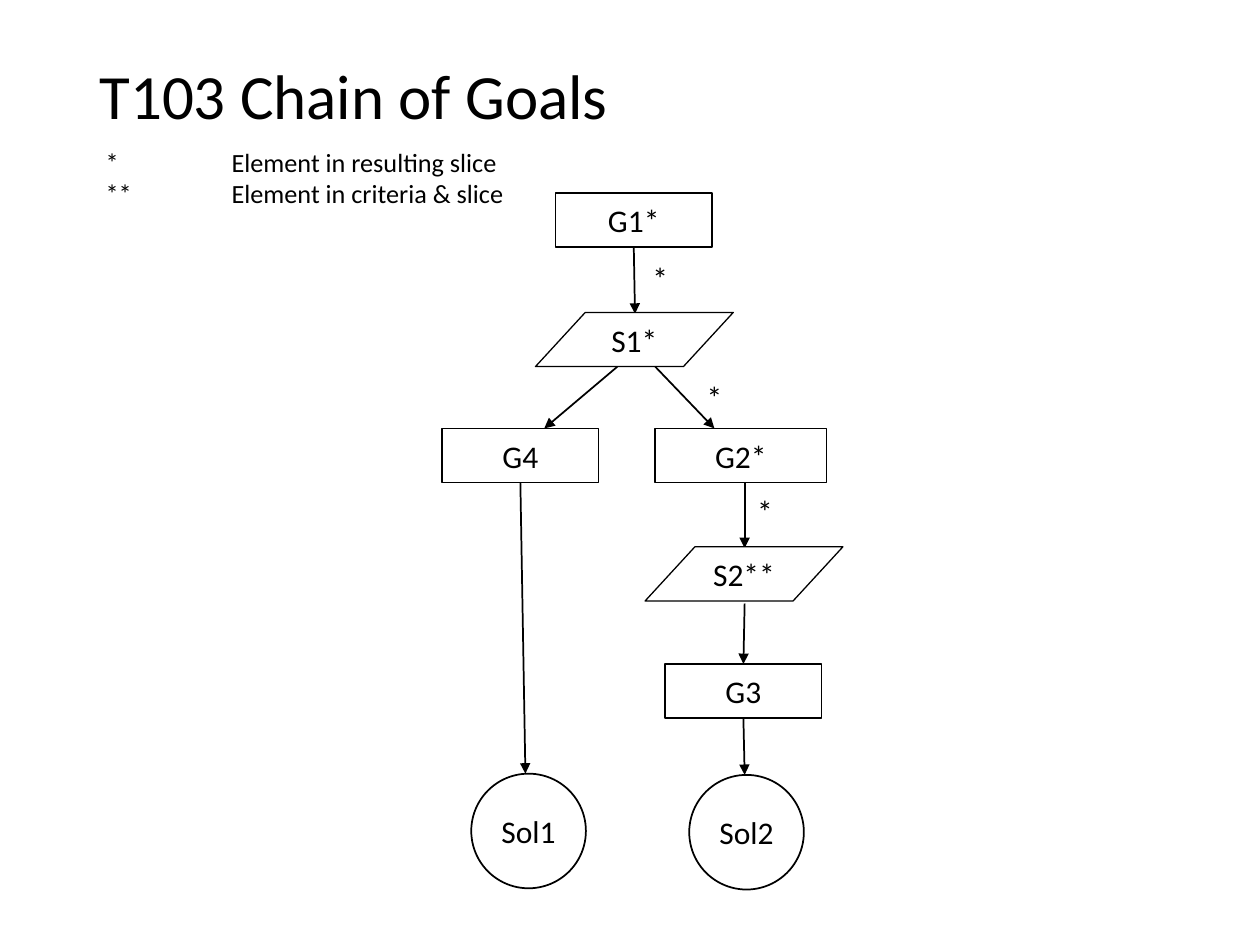
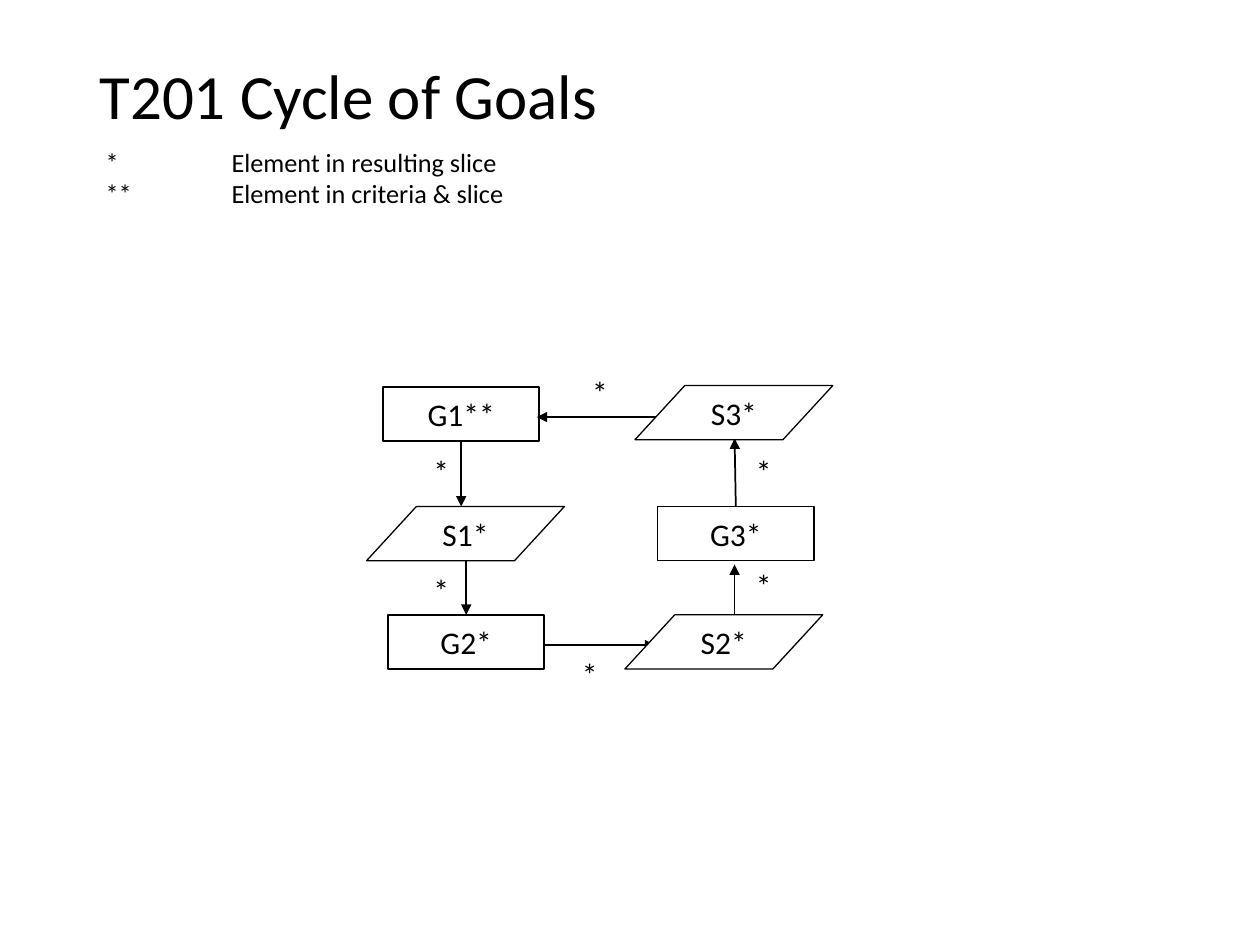
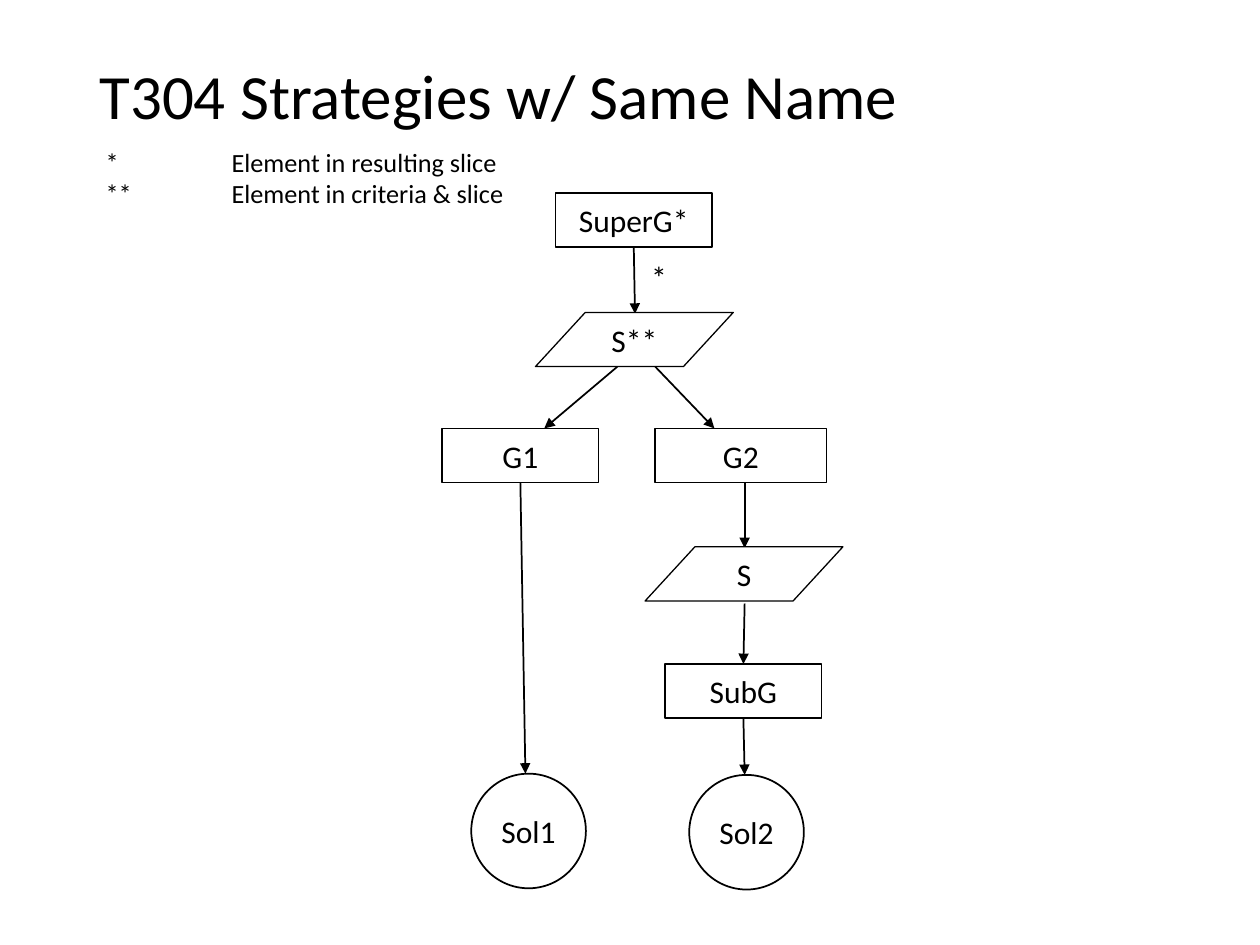
"""Build three goal-structure slicing slides that share a title style and a legend."""
from lxml import etree
from pptx import Presentation
from pptx.dml.color import RGBColor
from pptx.enum.shapes import MSO_CONNECTOR, MSO_SHAPE
from pptx.enum.text import MSO_ANCHOR, PP_ALIGN
from pptx.oxml.ns import qn
from pptx.util import Inches, Pt

GOAL = MSO_SHAPE.RECTANGLE
STRATEGY = MSO_SHAPE.PARALLELOGRAM
SOLUTION = MSO_SHAPE.OVAL
STRAIGHT = MSO_CONNECTOR.STRAIGHT
LEFT, CENTER = PP_ALIGN.LEFT, PP_ALIGN.CENTER
MIDDLE = MSO_ANCHOR.MIDDLE
TOP_SIDE, BOTTOM_SIDE = 0, 2

FONT, BLACK, WHITE = "Calibri", "000000", "FFFFFF"
SIZES = {GOAL: (1.24, 0.43), STRATEGY: (1.57, 0.43), SOLUTION: (0.91, 0.91)}
OUTLINES = {GOAL: 0.94, STRATEGY: 0.75, SOLUTION: 1}
SLANT = 0.92
WIDE_GOAL = 1.36

TREE_NODES = {
    "root": (GOAL, 4.41, 1.53),
    "split": (STRATEGY, 4.25, 2.48),
    "left goal": (GOAL, 3.51, 3.4),
    "right goal": (GOAL, 5.2, 3.4, WIDE_GOAL),
    "left solution": (SOLUTION, 3.74, 6.14),
    "lower strategy": (STRATEGY, 5.12, 4.34),
    "lower goal": (GOAL, 5.28, 5.27),
    "right solution": (SOLUTION, 5.47, 6.15),
}
TREE_ARROWS = [
    (5.04, 1.97, 5.04, 2.49, "root", None),
    (4.9, 2.91, 4.32, 3.4, None, None),
    (5.2, 2.91, 5.67, 3.4, None, None),
    (4.14, 3.83, 4.17, 6.14, "left goal", None),
    (5.91, 3.83, 5.91, 4.35, None, None),
    (5.91, 4.79, 5.91, 5.27, None, "lower goal"),
    (5.91, 5.7, 5.91, 6.15, "lower goal", None),
]
CYCLE_NODES = {
    "first goal": (GOAL, 3.04, 3.07),
    "first strategy": (STRATEGY, 2.91, 4.02),
    "second goal": (GOAL, 3.08, 4.88),
    "second strategy": (STRATEGY, 4.96, 4.88),
    "third goal": (GOAL, 5.22, 4.02),
    "third strategy": (STRATEGY, 5.04, 3.06),
}
CYCLE_ARROWS = [
    (3.66, 3.5, 3.66, 4.02, "first goal", None),
    (3.7, 4.45, 3.7, 4.88, None, "second goal"),
    (4.32, 5.12, 5.2, 5.12, None, None),
    (5.83, 4.89, 5.83, 4.48, None, None),
    (5.21, 3.31, 4.26, 3.31, None, None),
    (5.83, 4.03, 5.83, 3.48, "third goal", None),
]
DIAGRAMS = [
    ("T103 Chain of Goals", TREE_NODES, TREE_ARROWS,
     ["G1*", "S1*", "G4", "G2*", "Sol1", "S2**", "G3", "Sol2"],
     [(5.91, 3.86), (5.51, 2.95), (5.08, 2.01)]),
    ("T201 Cycle of Goals", CYCLE_NODES, CYCLE_ARROWS,
     ["G1**", "S1*", "G2*", "S2*", "G3*", "S3*"],
     [(3.34, 3.54), (3.34, 4.48), (4.52, 5.15), (5.9, 4.44), (5.9, 3.54), (4.6, 2.91)]),
    ("T304 Strategies w/ Same Name", TREE_NODES, TREE_ARROWS,
     ["SuperG*", "S**", "G1", "G2", "Sol1", "S", "SubG", "Sol2"],
     [(5.07, 2)]),
]


def color(hex_string):
    return RGBColor.from_string(hex_string)


def style(paragraph, size, alignment=LEFT):
    paragraph.alignment = alignment
    paragraph.font.name = FONT
    paragraph.font.size = Pt(size)
    paragraph.font.color.rgb = color(BLACK)


prs = Presentation()
prs.slide_width, prs.slide_height = Inches(10), Inches(7.5)
layout = prs.slide_layouts[5]
for placeholder in list(layout.placeholders)[1:]:
    layout.shapes.element.remove(placeholder.element)

for number, (heading, nodes, arrows, labels, marks) in enumerate(DIAGRAMS):
    slide = prs.slides.add_slide(layout)
    title = slide.shapes.title
    title.left, title.top = Inches(0.69), Inches(0.4)
    title.width, title.height = Inches(8.63), Inches(0.78)
    title.text_frame.text = heading
    title.text_frame.vertical_anchor = MIDDLE
    title.text_frame.paragraphs[0].line_spacing = 0.9
    style(title.text_frame.paragraphs[0], 36)

    if number == 0:
        legend = slide.shapes.add_textbox(Inches(0.74), Inches(1.11), Inches(4.14), Inches(0.62))
        legend.text_frame.word_wrap = True
        legend.text_frame.text = "*\tElement in resulting slice\n**\tElement in criteria & slice"
        for entry in legend.text_frame.paragraphs:
            tabs = etree.SubElement(entry._p.get_or_add_pPr(), qn("a:tabLst"))
            etree.SubElement(tabs, qn("a:tab"), pos=str(Inches(1)), algn="l")
            style(entry, 15)
        layout.shapes.element.append(legend.element)

    drawn = {}
    for (role, (kind, x, y, *wider)), label in zip(nodes.items(), labels):
        width, height = SIZES[kind]
        node = slide.shapes.add_shape(
            kind, Inches(x), Inches(y), Inches(wider[0] if wider else width), Inches(height))
        if kind == STRATEGY:
            node.adjustments[0] = SLANT
        node.shadow.inherit = False
        node.fill.solid()
        node.fill.fore_color.rgb = color(WHITE)
        node.line.color.rgb = color(BLACK)
        node.line.width = Pt(OUTLINES[kind])
        node.text_frame.word_wrap = kind == GOAL
        node.text_frame.vertical_anchor = MIDDLE
        node.text_frame.text = label
        style(node.text_frame.paragraphs[0], 18, CENTER)
        drawn[role] = node

    for x1, y1, x2, y2, source, target in arrows:
        arrow = slide.shapes.add_connector(STRAIGHT, Inches(x1), Inches(y1), Inches(x2), Inches(y2))
        if source:
            arrow.begin_connect(drawn[source], BOTTOM_SIDE if y2 > y1 else TOP_SIDE)
        if target:
            arrow.end_connect(drawn[target], TOP_SIDE)
        arrow.line.color.rgb = color(BLACK)
        arrow.line.width = Pt(1)
        etree.SubElement(arrow.line._get_or_add_ln(), qn("a:tailEnd"), type="triangle")
        etree.SubElement(arrow.element.spPr, qn("a:effectLst"))

    for role, (kind, *_) in nodes.items():
        if kind == STRATEGY:
            slide.shapes.element.append(drawn[role].element)

    for x, y in marks:
        mark = slide.shapes.add_textbox(Inches(x), Inches(y), Inches(0.32), Inches(0.4))
        mark.text_frame.word_wrap = True
        mark.text_frame.text = "*"
        style(mark.text_frame.paragraphs[0], 18)

prs.save("out.pptx")
